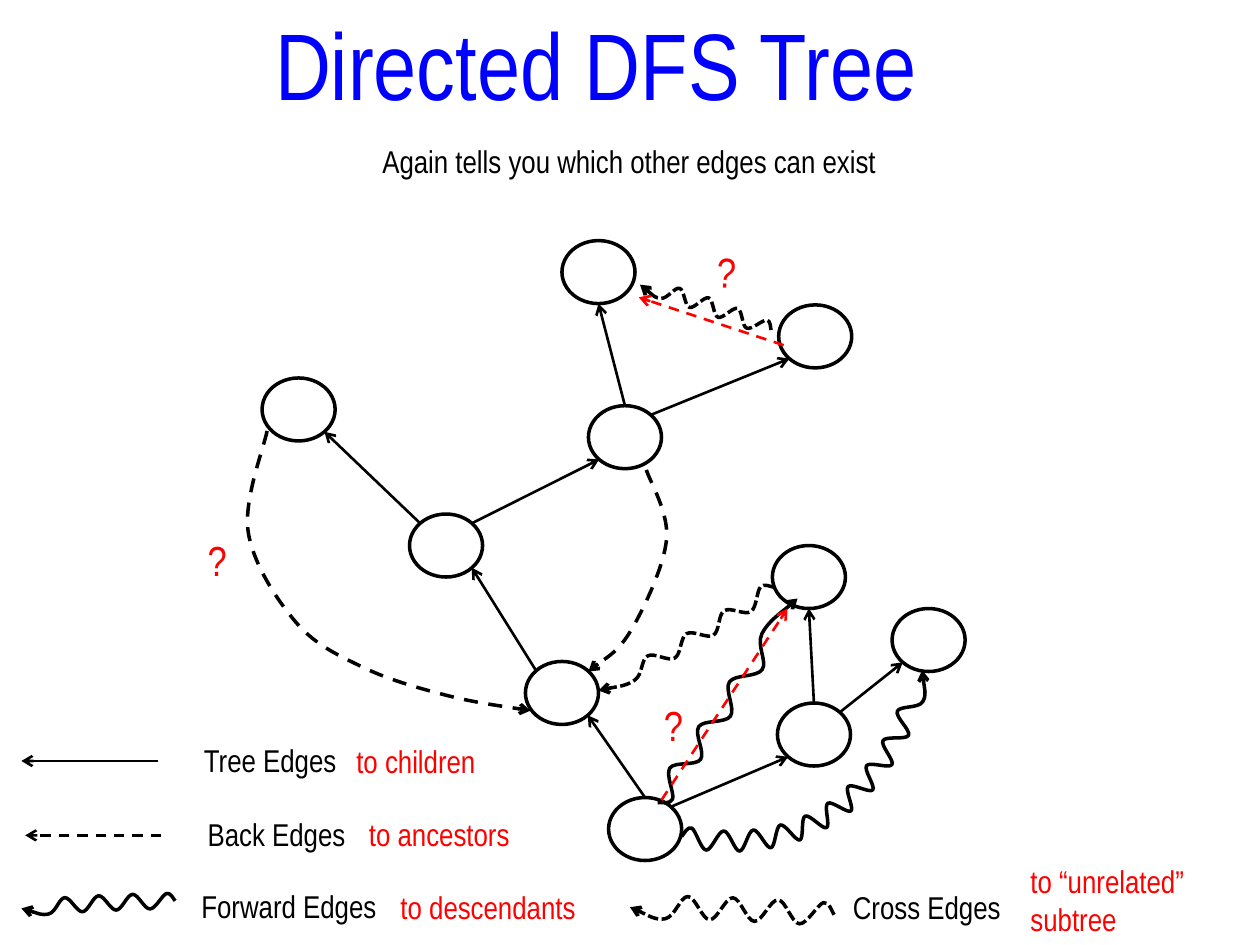
from dataclasses import dataclass
from math import hypot
from typing import NamedTuple, Optional

from lxml.etree import SubElement
from pptx import Presentation
from pptx.dml.color import RGBColor
from pptx.enum.dml import MSO_LINE
from pptx.enum.shapes import MSO_CONNECTOR, MSO_SHAPE
from pptx.enum.text import MSO_AUTO_SIZE, PP_ALIGN
from pptx.oxml.ns import qn
from pptx.util import Cm, Pt


@dataclass(frozen=True)
class Theme:
    font: str = "Arial Narrow"
    ink: RGBColor = RGBColor(0, 0, 0)
    title: RGBColor = RGBColor(0, 0, 255)
    accent: RGBColor = RGBColor(255, 0, 0)
    title_size: int = 54
    mark_size: int = 24
    body_size: int = 18
    thin: float = 1.5
    thick: float = 2


THEME = Theme()
NODE_WIDTH, NODE_HEIGHT = 0.58, 0.5
DIAGONAL = 0.5 ** 0.5
SITES = [(0, -1), (-DIAGONAL, -DIAGONAL), (-1, 0), (-DIAGONAL, DIAGONAL),
         (0, 1), (DIAGONAL, DIAGONAL), (1, 0), (DIAGONAL, -DIAGONAL)]


class Edge(NamedTuple):
    parent: str
    parent_site: int
    child: str
    child_site: int


class Arrow(NamedTuple):
    start: tuple
    end: tuple
    color: RGBColor
    dash: Optional[MSO_LINE] = None


class Wave(NamedTuple):
    start: tuple
    middle: tuple
    end: tuple
    bumps: int
    height: float
    dash: Optional[MSO_LINE] = None
    share: float = 0.88


class Label(NamedTuple):
    text: str
    left: float
    top: float
    width: float
    height: float = 0.4
    color: RGBColor = THEME.ink
    size: int = THEME.body_size
    align: PP_ALIGN = PP_ALIGN.LEFT
    rotation: float = 0


NODES = {
    "root": (4.83, 6.33), "hub": (4.17, 5.25), "fork": (3.25, 4.08),
    "left leaf": (2.08, 3), "branch": (4.67, 3.22), "upper right leaf": (6.18, 2.42),
    "top leaf": (4.46, 1.91), "right": (6.17, 5.58), "right leaf": (7.08, 4.83),
    "middle leaf": (6.13, 4.33),
}
EDGES = [
    Edge("fork", 1, "left leaf", 5), Edge("hub", 1, "fork", 5), Edge("root", 0, "hub", 5),
    Edge("fork", 7, "branch", 3), Edge("branch", 0, "top leaf", 4),
    Edge("branch", 7, "upper right leaf", 3), Edge("root", 7, "right", 3),
    Edge("right", 0, "middle leaf", 4), Edge("right", 7, "right leaf", 3),
]
ARROWS = [
    Arrow((1.25, 6.04), (0.17, 6.04), THEME.ink),
    Arrow((1.28, 6.63), (0.2, 6.63), THEME.ink, MSO_LINE.DASH),
    Arrow((5.25, 6.35), (6.25, 4.83), THEME.accent, MSO_LINE.DASH),
    Arrow((6.22, 2.74), (5.07, 2.36), THEME.accent, MSO_LINE.DASH),
]
BACK_EDGES = [
    [(2.12, 3.42), (1.97, 4.22), (2.35, 4.94), (2.89, 5.3), (3.55, 5.52), (4.21, 5.64)],
    [(5.13, 3.73), (5.29, 4.28), (5.01, 5), (4.67, 5.33)],
]
WAVES = [
    Wave((5.22, 6.37), (5.7, 5.7), (6.33, 4.75), 8, -0.08),
    Wave((5.41, 6.64), (6.87, 6.9), (7.32, 5.32), 20, 0.08, share=0.95),
    Wave((1.39, 7.15), (0.78, 7.16), (0.17, 7.21), 8, -0.06),
    Wave((6.14, 4.66), (5.5, 5.1), (4.75, 5.48), 8, -0.06, MSO_LINE.SQUARE_DOT),
    Wave((6.12, 2.62), (5.6, 2.4), (5.08, 2.26), 8, -0.06, MSO_LINE.SQUARE_DOT),
    Wave((6.62, 7.26), (5.8, 7.2), (5, 7.2), 8, -0.09, MSO_LINE.SQUARE_DOT),
]
MARK = dict(color=THEME.accent, size=THEME.mark_size)
LABELS = [
    Label("Directed DFS Tree", 2, 0, 5.46, 1.01, THEME.title, THEME.title_size, PP_ALIGN.CENTER),
    Label("Again tells you which other edges can exist", 2.83, 1.08, 4.33, align=PP_ALIGN.CENTER),
    Label("Tree Edges", 1.52, 5.83, 1.3),
    Label("to children", 2.73, 5.84, 1.67, color=THEME.accent),
    Label("Back Edges", 1.55, 6.42, 1.3),
    Label("to ancestors", 2.83, 6.42, 1.67, color=THEME.accent),
    Label("Forward Edges", 1.5, 6.99, 1.91),
    Label("to descendants", 3.08, 7, 1.91, color=THEME.accent),
    Label("Cross Edges", 6.67, 7, 1.91),
    Label("to “unrelated”\nsubtree", 8.08, 6.79, 1.91, 0.71, color=THEME.accent),
    Label("?", 1.55, 4.19, 0.58, 0.5, **MARK),
    Label("?", 5.17, 5.5, 0.58, 0.5, **MARK),
    Label("?", 5.59, 1.91, 0.53, 0.52, rotation=3.9, **MARK),
]


def length(inches: float) -> Cm:
    return Cm(inches * 2.54)


def style_line(shape, color: RGBColor, width: float, dash=None, arrow: bool = True) -> None:
    shape.line.color.rgb = color
    shape.line.width = Pt(width)
    if dash is not None:
        shape.line.dash_style = dash
    if arrow:
        SubElement(shape.line._get_or_add_ln(), qn("a:tailEnd"), type="arrow")


def draw_node(page, corner: tuple):
    node = page.shapes.add_shape(MSO_SHAPE.OVAL, *map(length, (*corner, NODE_WIDTH, NODE_HEIGHT)))
    node.shadow.inherit = False
    node.fill.background()
    style_line(node, THEME.ink, THEME.thick, arrow=False)
    return node


def draw_arrow(page, arrow: Arrow):
    connector = page.shapes.add_connector(
        MSO_CONNECTOR.STRAIGHT, *map(length, (*arrow.start, *arrow.end)))
    style_line(connector, arrow.color, THEME.thin, arrow.dash)
    SubElement(connector._element.spPr, qn("a:effectLst"))
    return connector


def site_point(name: str, site: int) -> tuple:
    (left, top), (across, down) = NODES[name], SITES[site]
    return left + NODE_WIDTH / 2 * (1 + across), top + NODE_HEIGHT / 2 * (1 + down)


def draw_edge(page, edge: Edge, nodes: dict) -> None:
    start = site_point(edge.parent, edge.parent_site)
    end = site_point(edge.child, edge.child_site)
    connector = draw_arrow(page, Arrow(start, end, THEME.ink))
    joints = connector._element.find(".//" + qn("p:cNvCxnSpPr"))
    for tag, name, site in (("a:stCxn", edge.parent, edge.parent_site),
                            ("a:endCxn", edge.child, edge.child_site)):
        SubElement(joints, qn(tag), id=str(nodes[name].shape_id), idx=str(site))


def wave_points(wave: Wave) -> list:
    points = [wave.start]
    for bump in range(wave.bumps):
        t = (bump + 0.5) / wave.bumps * wave.share
        x, y = ((1 - t) ** 2 * a + 2 * t * (1 - t) * b + t * t * c
                for a, b, c in zip(wave.start, wave.middle, wave.end))
        run, rise = ((1 - t) * (b - a) + t * (c - b)
                     for a, b, c in zip(wave.start, wave.middle, wave.end))
        offset = wave.height * (-1) ** bump / hypot(run, rise)
        points.append((x + rise * offset, y - run * offset))
    return points + [wave.end]


def draw_curve(page, knots: list, dash: Optional[MSO_LINE]) -> None:
    points = [(length(x), length(y)) for x, y in knots]
    builder = page.shapes.build_freeform(*points[0])
    builder.add_line_segments(points[1:], close=False)
    shape = builder.convert_to_shape()
    shape.shadow.inherit = False
    shape.fill.background()
    style_line(shape, THEME.ink, THEME.thick, dash)
    outline = shape._element.find(".//" + qn("a:path"))
    for straight in outline.findall(qn("a:lnTo")):
        outline.remove(straight)
    padded = [points[0], *points, points[-1]]
    for before, start, end, after in zip(padded, padded[1:], padded[2:], padded[3:]):
        leave = [s + (e - b) / 6 for b, s, e in zip(before, start, end)]
        arrive = [e - (a - s) / 6 for s, e, a in zip(start, end, after)]
        bend = SubElement(outline, qn("a:cubicBezTo"))
        for x, y in (leave, arrive, end):
            SubElement(bend, qn("a:pt"), x=str(round(x - shape.left)), y=str(round(y - shape.top)))


def draw_label(page, label: Label) -> None:
    box = page.shapes.add_textbox(*map(length, label[1:5]))
    box.rotation = label.rotation
    frame = box.text_frame
    frame.word_wrap = True
    frame.auto_size = MSO_AUTO_SIZE.SHAPE_TO_FIT_TEXT
    frame.text = label.text
    for paragraph in frame.paragraphs:
        paragraph.alignment = label.align
        for span in paragraph.runs:
            span.font.name = THEME.font
            span.font.size = Pt(label.size)
            span.font.color.rgb = label.color


def main() -> None:
    deck = Presentation()
    deck.slide_width, deck.slide_height = length(10), length(7.5)
    page = deck.slides.add_slide(deck.slide_layouts[6])
    nodes = {name: draw_node(page, corner) for name, corner in NODES.items()}
    for edge in EDGES:
        draw_edge(page, edge, nodes)
    for knots in BACK_EDGES:
        draw_curve(page, knots, MSO_LINE.DASH)
    for wave in WAVES:
        draw_curve(page, wave_points(wave), wave.dash)
    for arrow in ARROWS:
        draw_arrow(page, arrow)
    for label in LABELS:
        draw_label(page, label)
    deck.save("out.pptx")


if __name__ == "__main__":
    main()
